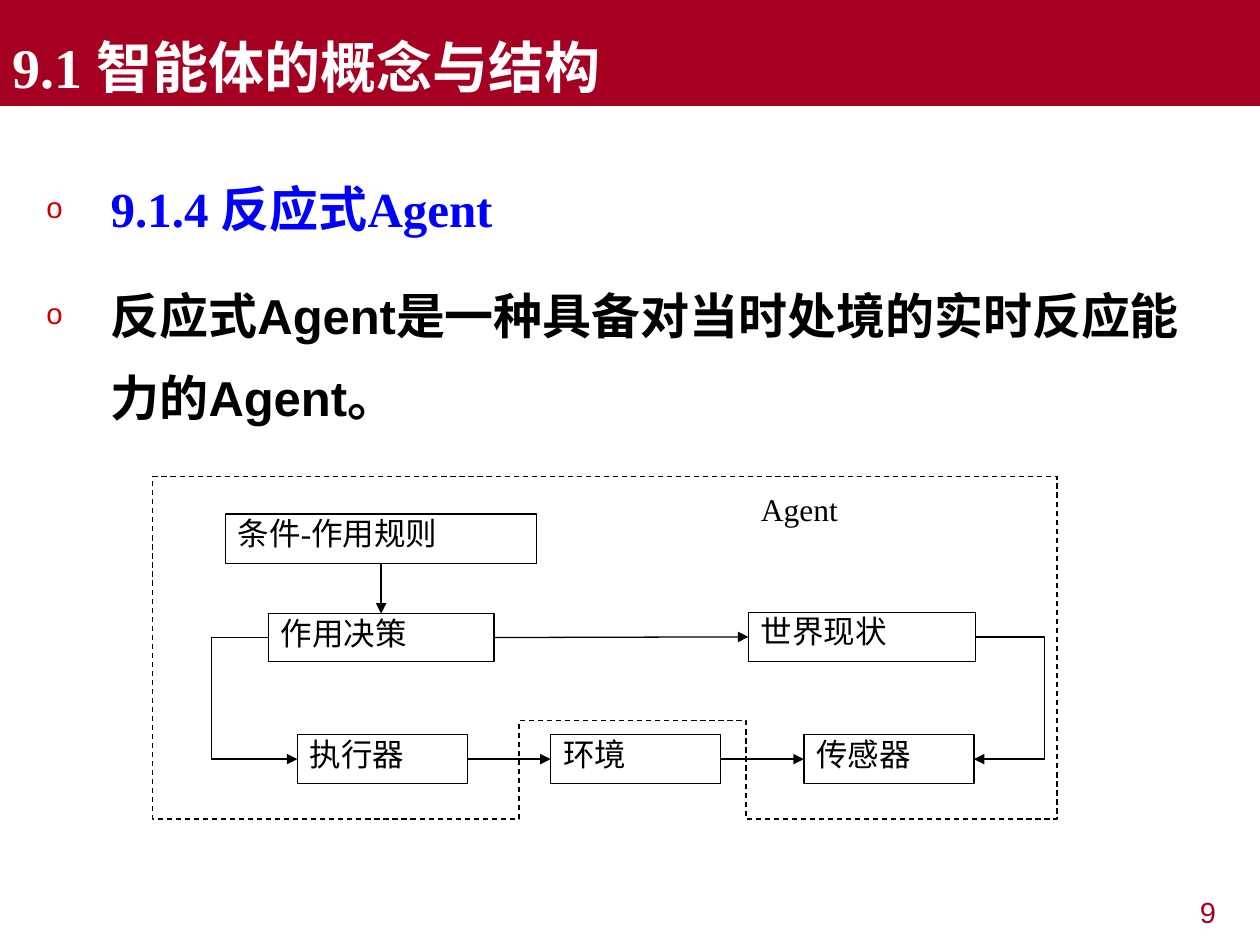
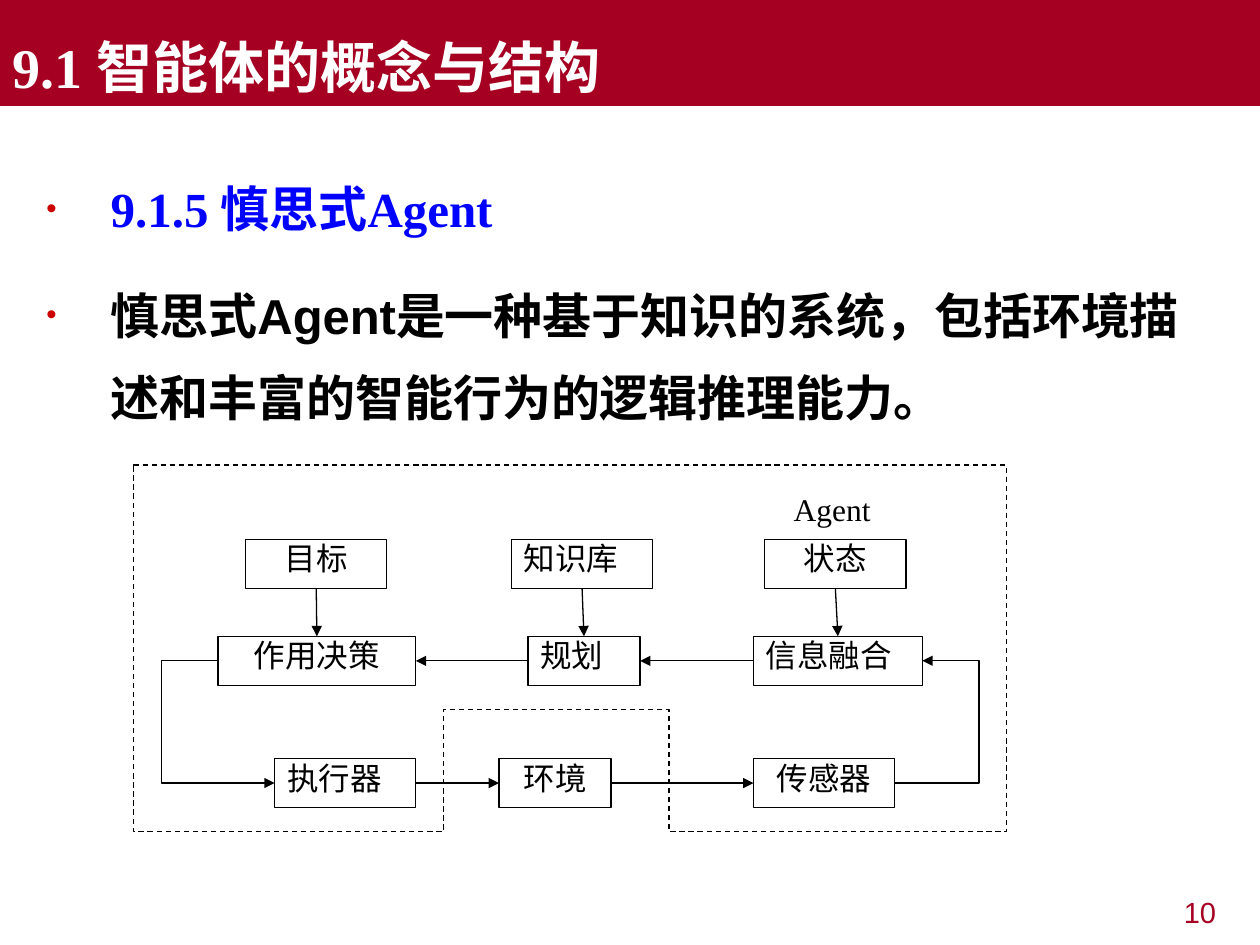
from dataclasses import dataclass
from lxml.etree import SubElement
from pptx import Presentation
from pptx.dml.color import RGBColor
from pptx.enum.dml import MSO_LINE
from pptx.enum.shapes import MSO_CONNECTOR, MSO_SHAPE
from pptx.enum.text import MSO_ANCHOR, PP_ALIGN
from pptx.oxml.ns import qn
from pptx.util import Inches, Pt


@dataclass(frozen=True)
class Theme:
    """Colours, fonts and type sizes of the deck."""
    red: str = "A50021"
    mark: str = "CC0000"
    blue: str = "0000FF"
    black: str = "000000"
    white: str = "FFFFFF"
    serif: str = "Times New Roman"
    sans: str = "Arial"
    title: float = 32
    body: float = 28
    label: float = 18
    page: float = 16.6
    rule: float = 0.75


TOP, LEFT, BOTTOM, RIGHT = range(4)
MID, JUST = PP_ALIGN.CENTER, PP_ALIGN.JUSTIFY


class Deck:
    """Draws each kind of element on the current slide."""

    def __init__(self, theme):
        """Start an empty deck."""
        self.theme = theme
        self.prs = Presentation()
        self.prs.slide_width, self.prs.slide_height = Inches(10), Inches(7.5)

    def open(self, title, page):
        """Add a slide with its title band and page number."""
        t = self.theme
        slide = self.prs.slides.add_slide(self.prs.slide_layouts[6])
        self.shapes = slide.shapes
        band = self.shape(MSO_SHAPE.RECTANGLE, 0, 0, 10, 0.84, t.red)
        frame = self.frame(band, 0.05, MSO_ANCHOR.BOTTOM)
        frame.paragraphs[0].alignment = PP_ALIGN.LEFT
        self.run(frame.paragraphs[0], title, t.title, t.white, bold=True)
        par = self.text(7.58, 7.08, 2.17, 0.39).paragraphs[0]
        par.alignment, par.line_spacing = PP_ALIGN.RIGHT, 0.9
        self.run(par, page, t.page, t.red, t.sans)

    def shape(self, kind, x, y, w, h, fill):
        """Add a flat preset shape without a line."""
        item = self.shapes.add_shape(kind, *map(Inches, (x, y, w, h)))
        item.shadow.inherit = False
        item.fill.solid()
        item.fill.fore_color.rgb = RGBColor.from_string(fill)
        item.line.fill.background()
        return item

    def frame(self, item, pad, anchor=MSO_ANCHOR.TOP):
        """Set up the text frame of a shape."""
        frame = item.text_frame
        frame.word_wrap, frame.vertical_anchor = True, anchor
        frame.margin_left = frame.margin_right = Inches(0.1)
        frame.margin_top = frame.margin_bottom = Inches(pad)
        return frame

    def text(self, x, y, w, h, pad=0.05):
        """Add a text box and return its frame."""
        box = self.shapes.add_textbox(*map(Inches, (x, y, w, h)))
        return self.frame(box, pad)

    def run(self, par, words, size, color, font=None, bold=False):
        """Add one styled run to a paragraph."""
        run = par.add_run()
        run.text = words
        run.font.size, run.font.bold = Pt(size), bold
        run.font.name = font or self.theme.serif
        run.font.color.rgb = RGBColor.from_string(color)

    def body(self, mark, head, words):
        """Add the bulleted heading and statement."""
        t = self.theme
        frame = self.text(0.27, 1.18, 9.45, 5.72)
        rows = (head, t.blue, t.serif), (words, t.black, t.sans)
        for i, (line, color, font) in enumerate(rows):
            par = frame.add_paragraph() if i else frame.paragraphs[0]
            par.line_spacing, par.space_before = 1.4, Pt(14 * i)
            self.bullet(par, mark)
            self.run(par, line, t.body, color, font, True)

    def bullet(self, par, mark):
        """Give a paragraph a hanging bullet."""
        props = par._p.get_or_add_pPr()
        props.set("marL", str(Inches(0.51)))
        props.set("indent", str(-Inches(0.51)))
        color = SubElement(props, qn("a:buClr"))
        SubElement(color, qn("a:srgbClr"), val=self.theme.mark)
        SubElement(props, qn("a:buSzPct"), val="60000")
        SubElement(props, qn("a:buFont"), typeface=self.theme.sans)
        SubElement(props, qn("a:buChar"), char=mark)

    def box(self, words, x, y, w, align=JUST, h=0.39):
        """Add an outlined process box."""
        t = self.theme
        item = self.shape(MSO_SHAPE.FLOWCHART_PROCESS, x, y, w, h, t.white)
        self.stroke(item.line)
        par = self.frame(item, 0).paragraphs[0]
        par.alignment = align
        self.run(par, words, t.label, t.black)
        return item

    def label(self, words, x, y):
        """Add a plain diagram label."""
        par = self.text(x, y, 1.12, 0.58, 0).paragraphs[0]
        par.alignment = JUST
        self.run(par, words, self.theme.label, self.theme.black)

    def stroke(self, line):
        """Apply the thin black line."""
        line.color.rgb = RGBColor.from_string(self.theme.black)
        line.width = Pt(self.theme.rule)

    def arrow(self, kind, ends):
        """Add a connector with an arrowhead at its end."""
        item = self.shapes.add_connector(kind, *ends)
        self.stroke(item.line)
        SubElement(item.line._get_or_add_ln(), qn("a:tailEnd"), type="triangle")
        SubElement(item._element.spPr, qn("a:effectLst"))
        return item

    def link(self, a, out, b, into):
        """Join two boxes with a straight arrow."""
        item = self.arrow(MSO_CONNECTOR.STRAIGHT, (0, 0, 0, 0))
        item.begin_connect(a, out)
        item.end_connect(b, into)

    def chain(self, *boxes):
        """Link boxes in a row from left to right."""
        for a, b in zip(boxes, boxes[1:]):
            self.link(a, RIGHT, b, LEFT)

    def bend(self, a, b, side, via):
        """Join the same side of two boxes around a given x."""
        (x, y), (end, low) = [
            (s.left + (s.width if side == RIGHT else 0), s.top + s.height // 2)
            for s in (a, b)]
        item = self.arrow(MSO_CONNECTOR.ELBOW, (x, y, end, low))
        ratio = round((Inches(via) - x) / (end - x) * 100000)
        guides = item._element.spPr.find(qn("a:prstGeom")).get_or_add_avLst()
        SubElement(guides, qn("a:gd"), name="adj1", fmla=f"val {ratio}")

    def border(self, x, y, right, low, start, stop, notch):
        """Draw the dashed agent outline with a notch below."""
        pen = self.shapes.build_freeform(Inches(x), Inches(y), 1.0)
        points = ((right, y), (right, low), (stop, low), (stop, notch),
                  (start, notch), (start, low), (x, low))
        pen.add_line_segments([(Inches(h), Inches(v)) for h, v in points])
        item = pen.convert_to_shape()
        item.shadow.inherit = False
        item.fill.background()
        self.stroke(item.line)
        item.line.dash_style = MSO_LINE.DASH


def react(deck):
    """Build the reactive agent slide."""
    deck.open("9.1 智能体的概念与结构", "9")
    deck.body("o", "9.1.4 反应式Agent",
              "反应式Agent是一种具备对当时处境的实时反应能力的Agent。")
    sense = deck.box("传感器", 6.38, 5.83, 1.35)
    world = deck.box("环境", 4.37, 5.83, 1.35)
    act = deck.box("执行器", 2.36, 5.83, 1.35)
    rules = deck.box("条件-作用规则", 1.79, 4.08, 2.47)
    choice = deck.box("作用决策", 2.13, 4.87, 1.79, h=0.38)
    state = deck.box("世界现状", 5.94, 4.86, 1.8)
    deck.bend(choice, act, LEFT, 1.68)
    deck.chain(act, world, sense)
    deck.chain(choice, state)
    deck.bend(state, sense, RIGHT, 8.3)
    deck.link(rules, BOTTOM, choice, TOP)
    deck.label("Agent", 5.94, 3.89)
    deck.border(1.21, 3.78, 8.39, 6.5, 4.12, 5.92, 5.72)


def plan(deck):
    """Build the deliberative agent slide."""
    deck.open("9.1 智能体的概念与结构", "10")
    deck.body("•", "9.1.5 慎思式Agent",
              "慎思式Agent是一种基于知识的系统，包括环境描述和丰富的智能行为的逻辑推理能力。")
    high, mid, low = 4.28, 5.05, 6.02
    goal = deck.box("目标", 1.95, high, 1.12, MID)
    facts = deck.box("知识库", 4.06, high, 1.12)
    state = deck.box("状态", 6.07, high, 1.12, MID)
    choice = deck.box("作用决策", 1.73, mid, 1.57, MID)
    scheme = deck.box("规划", 4.19, mid, 0.89)
    fuse = deck.box("信息融合", 5.98, mid, 1.34)
    sense = deck.box("传感器", 5.98, low, 1.12, MID)
    world = deck.box("环境", 3.96, low, 0.89, MID)
    act = deck.box("执行器", 2.18, low, 1.12)
    for a, b in (goal, choice), (facts, scheme), (state, fuse):
        deck.link(a, BOTTOM, b, TOP)
    deck.bend(choice, act, LEFT, 1.28)
    deck.bend(sense, fuse, RIGHT, 7.77)
    deck.chain(act, world, sense)
    for a, b in (scheme, choice), (fuse, scheme):
        deck.link(a, LEFT, b, RIGHT)
    deck.label("Agent", 6.2, 3.89)
    deck.border(1.06, 3.69, 7.99, 6.6, 3.52, 5.31, 5.63)


def main():
    """Build and save the deck."""
    deck = Deck(Theme())
    react(deck)
    plan(deck)
    deck.prs.save("out.pptx")


if __name__ == "__main__":
    main()
